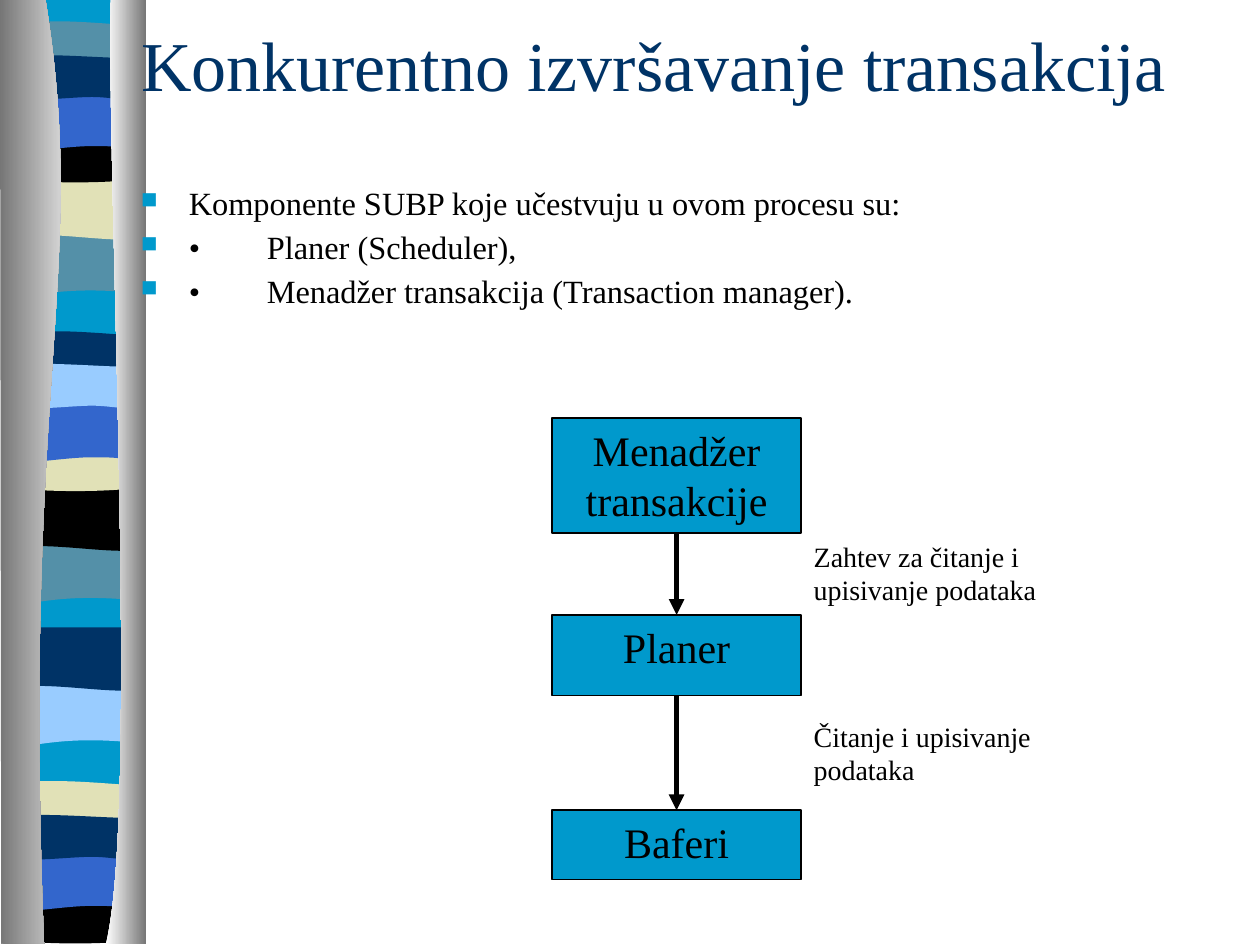
"""Build a slide on concurrent transaction execution with a striped master ribbon and a flow of three boxes."""
from lxml import etree
from pptx import Presentation
from pptx import util as u
from pptx.dml.color import RGBColor
from pptx.enum import shapes, text
from pptx.oxml import parse_xml
from pptx.oxml.ns import nsdecls, qn

COLORS = {
    "cyan": "0099CC", "teal": "5490A8", "sand": "E1E1B7", "black": "000000",
    "blue": "3366CC", "navy": "003366", "sky": "99CCFF",
    "white": "FFFFFF", "grey": "767676",
}
FONT = "Times New Roman"


def draw_outline(group, steps, top=0):
    """Draw a closed outline whose steps are points (x, y) or cubic curves of three points."""
    points = [(u.Inches(step[i]), u.Inches(top + step[i + 1]))
              for step in steps for i in range(0, len(step), 2)]
    builder = group.shapes.build_freeform(*points[0])
    builder.add_line_segments(points[1:], close=True)
    shape = builder.convert_to_shape()
    segments = iter(list(shape._element.iter(qn("a:lnTo"))))
    for step in steps[1:]:
        segment = next(segments)
        if len(step) == 6:
            curve = etree.Element(qn("a:cubicBezTo"))
            segment.addprevious(curve)
            for control in (segment, next(segments), next(segments)):
                curve.append(control[0])
                control.getparent().remove(control)
    shape.shadow.inherit = False
    shape.line.fill.background()
    return shape


def style_paragraph(paragraph, size, color, align):
    """Set alignment and font of a paragraph."""
    paragraph.alignment = align
    paragraph.font.name = FONT
    paragraph.font.size = u.Pt(size)
    paragraph.font.color.rgb = RGBColor.from_string(COLORS[color])


presentation = Presentation()
presentation.slide_width = u.Inches(10)
presentation.slide_height = u.Inches(7.5)
slide = presentation.slides.add_slide(presentation.slide_layouts[5])

BANDS = {
    "flag": [(1.13, 0), (1.13, 0.47), (0.39, 0.39, 0.24, 0.54, 0.06, 0.47), (0.06, 0)],
    "swell": [(1.14, 0), (1.14, 0.48), (0.96, 0.55, 0.4, 0.42, 0.07, 0.48), (0.07, 0)],
    "arch": [(1.14, 0), (1.14, 0.24), (0.96, 0.28, 0.25, 0.28, 0.07, 0.24), (0.07, 0),
             (0.14, -0.05, 0.3, -0.04, 0.48, -0.04), (0.66, -0.04, 1, -0.01, 1.14, 0)],
    "bowl": [(1.13, 0), (1.13, 0.33), (0.96, 0.38, 0.24, 0.38, 0.06, 0.33), (0.06, 0),
             (0.72, 0.05, 0.91, 0, 1.13, 0)],
    "wave": [(1.14, 0), (1.14, 0.47), (0.97, 0.42, 0.9, 0.42, 0.72, 0.42),
             (0.55, 0.42, 0.23, 0.47, 0.06, 0.47), (0.06, 0)],
    "dip": [(1.14, 0), (1.14, 0.31), (1.07, 0.36, 0.9, 0.31, 0.73, 0.31),
            (0.55, 0.31, 0.18, 0.36, 0.07, 0.31), (0.07, 0),
            (0.22, -0.05, 0.79, 0, 0.97, 0), (1.15, 0, 1.1, 0, 1.14, 0)],
}
RIBBON = [
    [("teal", 1.86), ("sand", 1.4), ("teal", 0.21), ("black", 1.08), ("blue", 0.74), ("navy", 0.46)],
    [("teal", 4.3), ("black", 3.87), ("navy", 2.67), ("sand", 3.53), ("blue", 3.21), ("sky", 2.91)],
    [("sky", 5.43), ("navy", 4.98), ("sand", 6.24), ("black", 7.12), ("blue", 6.77), ("navy", 6.49)],
]
ribbon = slide.shapes.add_group_shape()
backing = draw_outline(ribbon, [(1.14, -0.01), (1.14, 7.47), (0.07, 7.47), (0.07, -0.01)])
backing.fill.solid()
backing.fill.fore_color.rgb = RGBColor.from_string(COLORS["cyan"])
for section in RIBBON:
    for outline, (color, top) in zip(BANDS.values(), section):
        band = draw_outline(ribbon, outline, top)
        band.fill.solid()
        band.fill.fore_color.rgb = RGBColor.from_string(COLORS[color])

CURTAINS = [
    ([(0.36, -0.01), (0.71, 2.16, 0.17, 2.96, 0.35, 7.49), (0.01, 7.49), (0, -0.01)],
     ("grey", "white")),
    ([(0.88, -0.01), (0.84, 1.25, 1.11, 6.46, 0.84, 7.49), (1.16, 7.49), (1.16, 0)],
     ("white", "grey")),
]
for outline, shades in CURTAINS:
    curtain = draw_outline(ribbon, outline)
    curtain.fill.gradient()
    curtain.fill.gradient_angle = 0
    for stop, shade, position in zip(curtain.fill.gradient_stops, shades, (0, 1)):
        stop.color.rgb = RGBColor.from_string(COLORS[shade])
        stop.position = position

for number, properties in enumerate(ribbon._element.iter(qn("p:cNvPr")), start=100):
    properties.set("id", str(number))
presentation.slide_master.shapes._spTree.insert(2, ribbon._element)

body = slide.shapes.add_textbox(u.Inches(1.02), u.Inches(1.44), u.Inches(8.76), u.Inches(1.17))
body.text_frame.word_wrap = True
body.text_frame.text = "\n".join([
    "Komponente SUBP koje učestvuju u ovom procesu su:",
    "•\tPlaner (Scheduler),",
    "•\tMenadžer transakcija (Transaction manager).",
])
for paragraph in body.text_frame.paragraphs:
    paragraph.line_spacing = 0.9
    paragraph.space_before = u.Pt(5)
    properties = paragraph._p.get_or_add_pPr()
    properties.set("marL", str(u.Inches(0.38)))
    properties.set("indent", str(-u.Inches(0.38)))
    for markup in (
        f'<a:buClr {nsdecls("a")}><a:srgbClr val="{COLORS["cyan"]}"/></a:buClr>',
        f'<a:buSzPct {nsdecls("a")} val="70000"/>',
        f'<a:buFont {nsdecls("a")} typeface="Wingdings" charset="2"/>',
        f'<a:buChar {nsdecls("a")} char="n"/>',
        f'<a:tabLst {nsdecls("a")}><a:tab pos="{u.Inches(1)}" algn="l"/></a:tabLst>',
    ):
        properties.append(parse_xml(markup))
    style_paragraph(paragraph, 18.5, "black", text.PP_ALIGN.LEFT)

boxes = []
for label, top, height in [("Menadžer transakcije", 3.32, 0.91), ("Planer", 4.88, 0.64), ("Baferi", 6.43, 0.55)]:
    box = slide.shapes.add_shape(shapes.MSO_SHAPE.RECTANGLE, u.Inches(4.38), u.Inches(top),
                                 u.Inches(1.98), u.Inches(height))
    box.shadow.inherit = False
    box.fill.solid()
    box.fill.fore_color.rgb = RGBColor.from_string(COLORS["cyan"])
    box.line.color.rgb = RGBColor.from_string(COLORS["black"])
    box.line.width = u.Pt(1)
    box.text_frame.text = label
    box.text_frame.word_wrap = True
    box.text_frame.vertical_anchor = text.MSO_ANCHOR.TOP
    style_paragraph(box.text_frame.paragraphs[0], 24, "black", text.PP_ALIGN.CENTER)
    boxes.append(box)

for upper, lower in zip(boxes, boxes[1:]):
    arrow = slide.shapes.add_connector(shapes.MSO_CONNECTOR.STRAIGHT, 0, 0, 0, 0)
    arrow.begin_connect(upper, 2)
    arrow.end_connect(lower, 0)
    arrow.line.color.rgb = RGBColor.from_string(COLORS["black"])
    arrow.line.width = u.Pt(3)
    etree.SubElement(arrow.line._get_or_add_ln(), qn("a:tailEnd"), type="triangle")
    etree.SubElement(arrow._element.spPr, qn("a:effectLst"))

for label, top in [("Zahtev za čitanje i\nupisivanje podataka", 4.23), ("Čitanje i upisivanje podataka", 5.66)]:
    note = slide.shapes.add_textbox(u.Inches(6.36), u.Inches(top), u.Inches(1.98), u.Inches(0.64))
    note.text_frame.word_wrap = True
    note.text_frame.text = label
    for paragraph in note.text_frame.paragraphs:
        style_paragraph(paragraph, 16, "black", text.PP_ALIGN.LEFT)

title = slide.shapes.title
title.left, title.top, title.width, title.height = [u.Inches(n) for n in (1.02, 0.01, 8.98, 0.99)]
title.text_frame.text = "Konkurentno izvršavanje transakcija"
title.text_frame.vertical_anchor = text.MSO_ANCHOR.MIDDLE
style_paragraph(title.text_frame.paragraphs[0], 40, "navy", text.PP_ALIGN.LEFT)
slide.shapes._spTree.append(title._element)

presentation.save("out.pptx")
